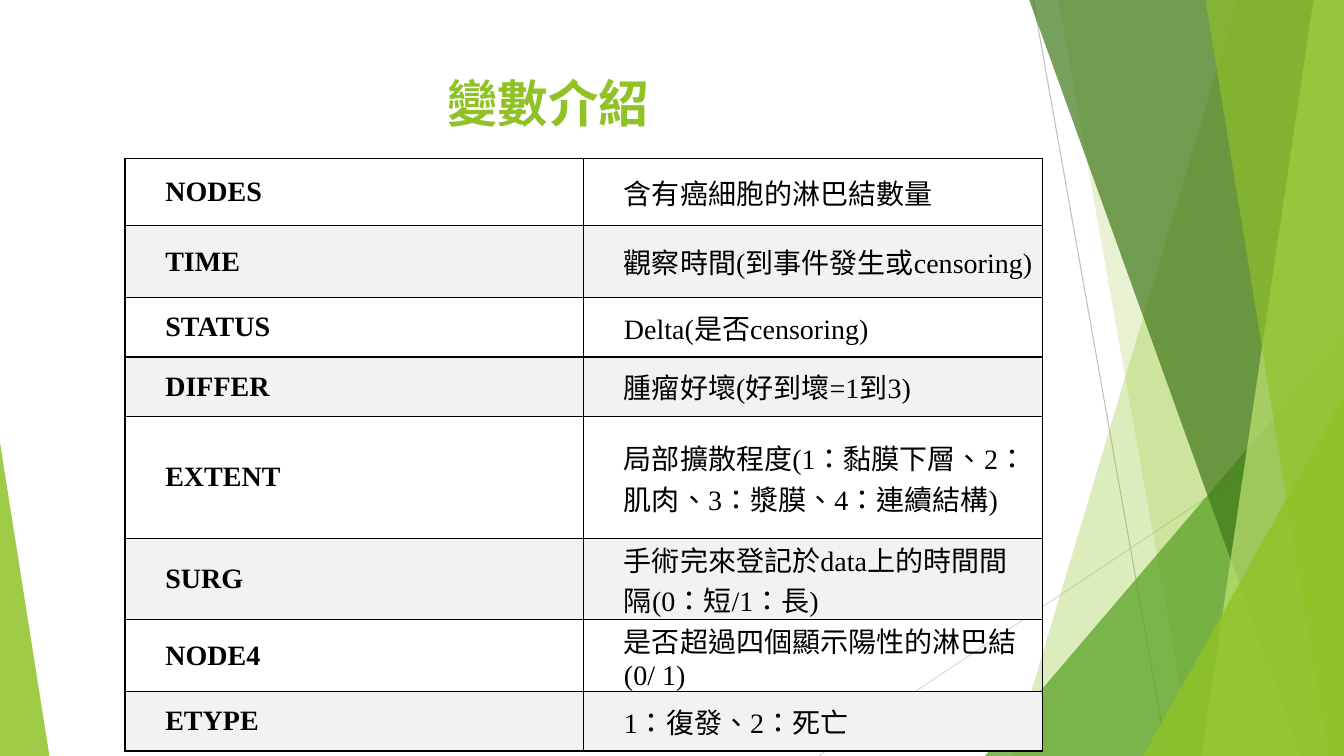
from dataclasses import dataclass

from lxml.etree import SubElement
from pptx import Presentation
from pptx.dml.color import RGBColor
from pptx.enum.lang import MSO_LANGUAGE_ID as Language
from pptx.enum.shapes import MSO_CONNECTOR as Connector, MSO_SHAPE as Shape
from pptx.enum.text import MSO_ANCHOR as Anchor, PP_ALIGN as Align
from pptx.oxml.ns import qn
from pptx.util import Emu, Inches, Pt

# Colours
LIME = RGBColor(0x90, 0xC2, 0x26)
PALE_LIME = RGBColor(0xC0, 0xE4, 0x74)
GREEN = RGBColor(0x54, 0xA0, 0x21)
DARK_GREEN = RGBColor(0x3F, 0x78, 0x19)
GREY = RGBColor(0xBF, 0xBF, 0xBF)
LIGHT_GREY = RGBColor(0xD9, 0xD9, 0xD9)
BAND = RGBColor(0xF2, 0xF2, 0xF2)
BLACK = RGBColor(0, 0, 0)

WIDTH, HEIGHT = Inches(13.333), Inches(7.5)


def across(percent: float) -> Emu:
    return Emu(round(WIDTH * percent / 100))


def down(percent: float) -> Emu:
    return Emu(round(HEIGHT * percent / 100))


# Positions are percentages of the slide's width and height
@dataclass
class Ray:
    start: tuple[float, float]
    end: tuple[float, float]
    color: RGBColor


@dataclass
class Blade:
    """A full-height facet reaching the right edge of the slide."""
    top: float
    bottom: float
    color: RGBColor
    opacity: int


@dataclass
class Wedge:
    """A triangle standing on the bottom edge, its apex left (0) or right (1)."""
    left: float
    right: float
    top: float
    apex: int
    color: RGBColor
    opacity: int


@dataclass
class Variable:
    name: str
    meaning: str


RAYS = [
    Ray((76.88, 0), (86.85, 100), GREY),
    Ray((100, 53.73), (60.9, 100), LIGHT_GREY),
]
FACETS = [
    Blade(92.1, 75.3, LIME, 30),
    Blade(78.75, 88.73, LIME, 20),
    Wedge(73.28, 100, 44.4, 1, GREEN, 72),
    Blade(76.58, 96.83, DARK_GREEN, 70),
    Blade(97.73, 89.4, PALE_LIME, 70),
    Blade(89.7, 98.85, LIME, 65),
    Wedge(85.05, 100, 52.4, 1, LIME, 80),
    Wedge(0, 3.68, 58.53, 0, LIME, 85),
]
VARIABLES = [
    Variable("NODES", "含有癌細胞的淋巴結數量"),
    Variable("TIME", "觀察時間(到事件發生或censoring)"),
    Variable("STATUS", "Delta(是否censoring)"),
    Variable("DIFFER", "腫瘤好壞(好到壞=1到3)"),
    Variable("EXTENT", "局部擴散程度(1：黏膜下層、2：肌肉、3：漿膜、4：連續結構)"),
    Variable("SURG", "手術完來登記於data上的時間間隔(0：短/1：長)"),
    Variable("NODE4", "是否超過四個顯示陽性的淋巴結(0/ 1)"),
    Variable("ETYPE", "1：復發、2：死亡"),
]
COLUMN, FIRST_ROW, ROW = 34.13, 8.93, 7.87


def add_ray(page, ray: Ray) -> None:
    line = page.shapes.add_connector(
        Connector.STRAIGHT, across(ray.start[0]), down(ray.start[1]),
        across(ray.end[0]), down(ray.end[1]))
    line.line.color.rgb = ray.color
    line.line.width = Pt(0.75)
    SubElement(line._element.spPr, qn("a:effectLst"))


def add_facet(page, facet: Blade | Wedge) -> None:
    if isinstance(facet, Blade):
        outline = page.shapes.build_freeform(across(facet.top), 0)
        outline.add_line_segments(
            [(WIDTH, 0), (WIDTH, HEIGHT), (across(facet.bottom), HEIGHT)], close=True)
        shape = outline.convert_to_shape()
    else:
        shape = page.shapes.add_shape(
            Shape.ISOSCELES_TRIANGLE, across(facet.left), down(facet.top),
            across(facet.right - facet.left), down(100 - facet.top))
        shape.adjustments[0] = facet.apex
    shape.shadow.inherit = False
    shape.line.fill.background()
    shape.fill.solid()
    shape.fill.fore_color.rgb = facet.color
    color = shape._element.spPr.find(qn("a:solidFill"))[0]
    SubElement(color, qn("a:alpha"), val=str(facet.opacity * 1000))


def add_span(para, text: str, font: str, size: int, color: RGBColor, bold: bool) -> None:
    span = para.add_run()
    span.text = text
    span.font.name, span.font.size, span.font.bold = font, Pt(size), bold
    span.font.color.rgb = color
    span.font.language_id = Language.TRADITIONAL_CHINESE


def add_title(page, text: str) -> None:
    title = page.shapes.title
    title.left, title.top = across(5.55), down(8.93)
    title.width, title.height = across(70.5), down(12)
    title.text_frame.vertical_anchor = Anchor.TOP
    para = title.text_frame.paragraphs[0]
    para.alignment = Align.CENTER
    add_span(para, text, "Karla", 36, LIME, True)


def fill_cell(cell, text: str, bold: bool, banded: bool) -> None:
    cell.vertical_anchor = Anchor.MIDDLE
    cell.margin_left = cell.margin_right = Inches(0.07)
    cell.margin_top = cell.margin_bottom = 0
    para = cell.text_frame.paragraphs[0]
    properties = para._p.get_or_add_pPr()
    properties.set("marL", str(Inches(0.33)))
    properties.set("indent", "0")
    add_span(para, text, "Times New Roman", 20, BLACK, bold)
    # Borders come before the fill in the cell's properties
    for side in ("a:lnL", "a:lnR", "a:lnT", "a:lnB"):
        border = SubElement(cell._tc.get_or_add_tcPr(), qn(side), w=str(Pt(1)))
        SubElement(SubElement(border, qn("a:solidFill")), qn("a:srgbClr"), val=str(BLACK))
    if banded:
        cell.fill.solid()
        cell.fill.fore_color.rgb = BAND
    else:
        cell.fill.background()


def add_variables(page, variables: list[Variable]) -> None:
    count = len(variables)
    table = page.shapes.add_table(
        count, 2, across(9.3), down(20.93), across(2 * COLUMN),
        down(FIRST_ROW + (count - 1) * ROW)).table
    table.first_row = table.horz_banding = False
    for column in table.columns:
        column.width = across(COLUMN)
    for index, variable in enumerate(variables):
        table.rows[index].height = down(ROW if index else FIRST_ROW)
        banded = index % 2 == 1
        fill_cell(table.cell(index, 0), variable.name, True, banded)
        fill_cell(table.cell(index, 1), variable.meaning, False, banded)


def main() -> None:
    deck = Presentation()
    deck.slide_width, deck.slide_height = WIDTH, HEIGHT
    page = deck.slides.add_slide(deck.slide_layouts[5])
    # Background facets
    for ray in RAYS:
        add_ray(page, ray)
    for facet in FACETS:
        add_facet(page, facet)
    # Content
    add_title(page, "變數介紹")
    add_variables(page, VARIABLES)
    deck.save("out.pptx")


if __name__ == "__main__":
    main()
